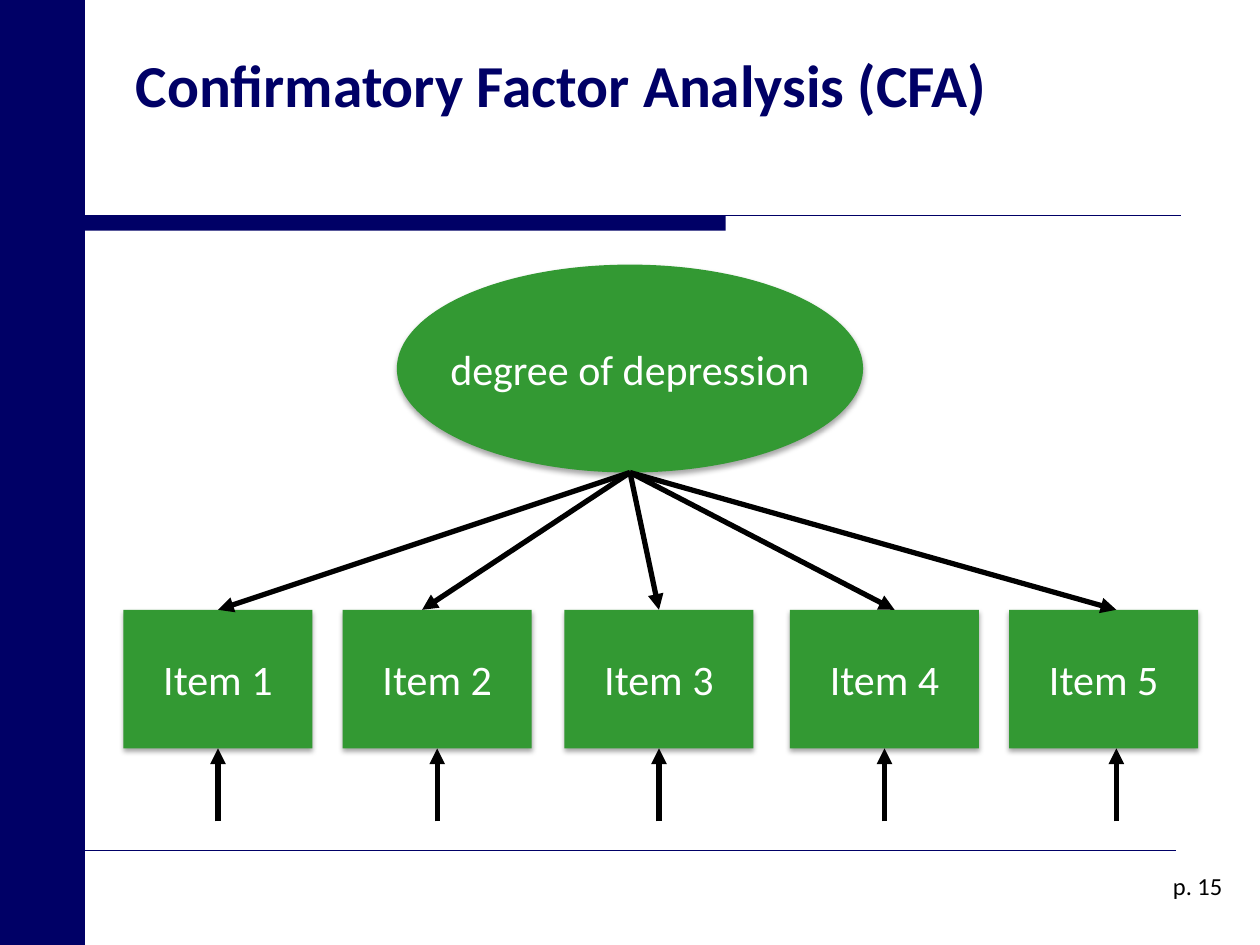
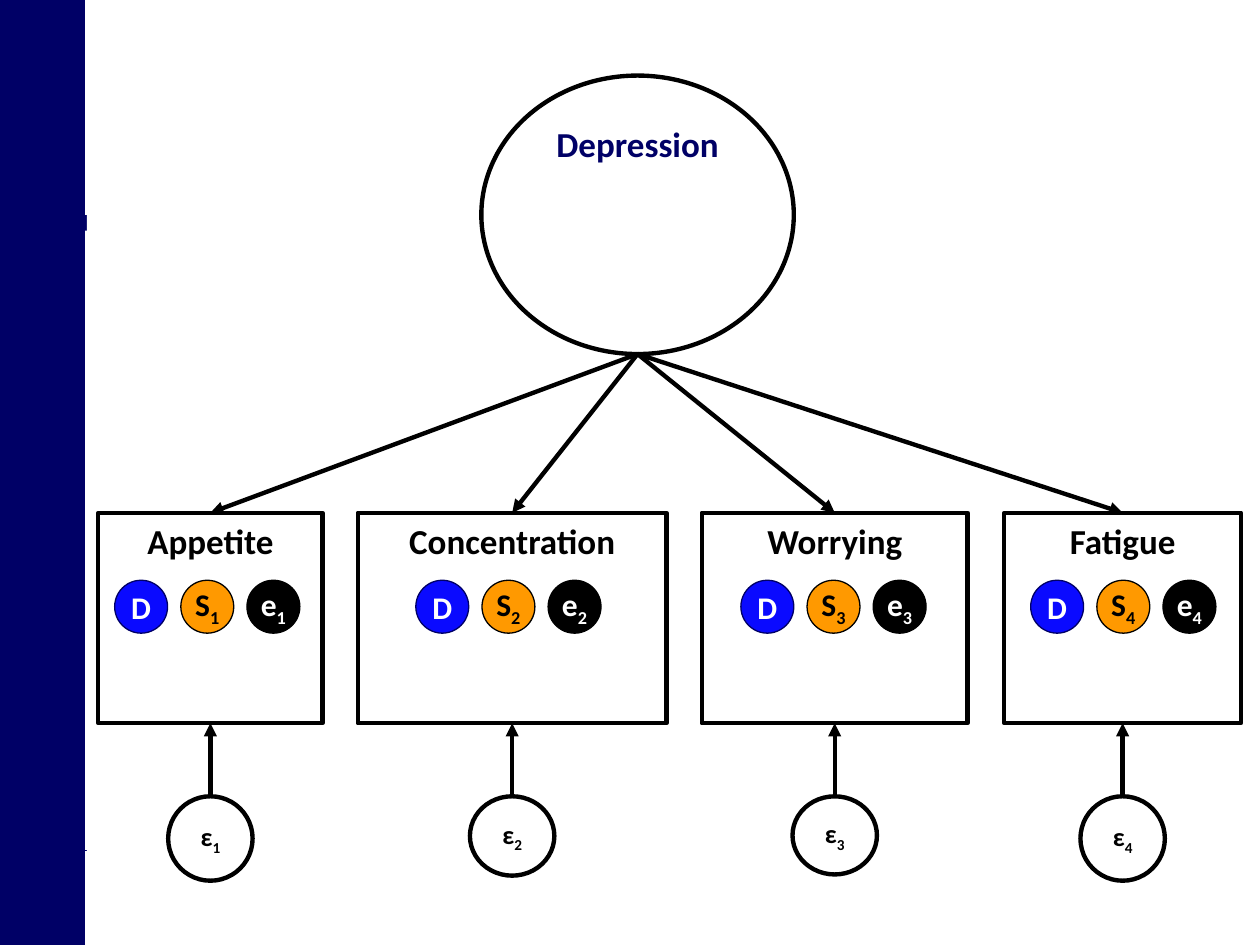
from dataclasses import dataclass
from lxml.etree import SubElement
from pptx import Presentation
from pptx.dml.color import RGBColor
from pptx.enum.shapes import MSO_CONNECTOR, MSO_SHAPE
from pptx.enum.text import MSO_ANCHOR, PP_ALIGN
from pptx.oxml.ns import qn
from pptx.util import Inches, Pt


@dataclass(frozen=True)
class Theme:
    font: str = "Calibri"
    navy: str = "000066"
    green: str = "339933"
    blue: str = "0A0AFF"
    orange: str = "FF9900"
    black: str = "000000"
    white: str = "FFFFFF"
    title_size: int = 34
    factor_size: int = 24
    symptom_size: int = 20
    source_size: int = 18
    error_size: int = 15
    page_size: int = 14
    thick: float = 3
    outline: float = 2.5
    thin: float = 0.75
    hairline: float = 0.25


@dataclass(frozen=True)
class Box:
    left: float
    top: float
    width: float
    height: float

    def inside(self, column, row, width, height):
        return Box(self.left + column, self.top + row, width, height)

    @property
    def center(self):
        return self.left + self.width / 2

    @property
    def bottom(self):
        return self.top + self.height

    def lengths(self):
        return [cells(n) for n in (self.left, self.top, self.width, self.height)]


THEME = Theme()
COLUMNS, ROWS = 100, 75
SLIDE_WIDTH, SLIDE_HEIGHT = Inches(10), Inches(7.5)
PAGE = Box(0, 0, COLUMNS, ROWS)
TOP, BOTTOM = 0, 2


def cells(count):
    return round(SLIDE_WIDTH * count / COLUMNS)


def rgb(color):
    return RGBColor.from_string(color)


def add_outline(line, color, width):
    line.color.rgb = rgb(color)
    line.width = Pt(width)


def add_panel(slide, box, kind=MSO_SHAPE.RECTANGLE, fill=None, line=None, width=THEME.outline):
    panel = slide.shapes.add_shape(kind, *box.lengths())
    panel.shadow.inherit = False
    if fill:
        panel.fill.solid()
        panel.fill.fore_color.rgb = rgb(fill)
    else:
        panel.fill.background()
    if line:
        add_outline(panel.line, line, width)
    else:
        panel.line.fill.background()
    return panel


def add_soft_shadow(panel):
    effects = panel._element.spPr.find(qn("a:effectLst"))
    shadow = SubElement(effects, qn("a:outerShdw"), blurRad=str(Pt(3.1)),
                        dist=str(Pt(1.8)), dir="5400000", rotWithShape="0")
    color = SubElement(shadow, qn("a:srgbClr"), val=THEME.black)
    SubElement(color, qn("a:alpha"), val="35000")


def write(panel, words, size, color, subscript="", bold=False, align=PP_ALIGN.CENTER,
          anchor=MSO_ANCHOR.MIDDLE, side=1, wrap=False):
    frame = panel.text_frame
    frame.word_wrap = wrap
    frame.vertical_anchor = anchor
    frame.margin_left = frame.margin_right = cells(side)
    frame.margin_top = frame.margin_bottom = cells(0.5)
    paragraph = frame.paragraphs[0]
    paragraph.text = words
    paragraph.alignment = align
    if subscript:
        lowered = paragraph.add_run()
        lowered.text = subscript
        lowered.font._element.set("baseline", "-25000")
    for run in paragraph.runs:
        run.font.name = THEME.font
        run.font.size = Pt(size)
        run.font.bold = bold
        run.font.color.rgb = rgb(color)


def add_line(slide, start, end, color, width):
    line = slide.shapes.add_connector(
        MSO_CONNECTOR.STRAIGHT, *[cells(n) for n in (*start, *end)])
    add_outline(line.line, color, width)
    SubElement(line._element.spPr, qn("a:effectLst"))
    return line


def add_arrow(slide, start, end, width):
    arrow = add_line(slide, start, end, THEME.black, width)
    SubElement(arrow._element.spPr.get_or_add_ln(), qn("a:tailEnd"), type="triangle")
    return arrow


def draw_frame(slide, box):
    band = box.inside(6.7, 17.1, 50.9, 1.2)
    add_panel(slide, band, fill=THEME.navy)
    add_line(slide, (band.left, band.top), (93.7, band.top), THEME.navy, THEME.thin)
    add_line(slide, (band.left, 67.5), (93.3, 67.5), THEME.navy, THEME.hairline)
    add_panel(slide, box.inside(0, 0, 6.7, box.height), fill=THEME.navy,
              line=THEME.navy, width=1)


def draw_text(slide, box, words, size, color, **style):
    label = slide.shapes.add_textbox(*box.lengths())
    write(label, words, size, color, wrap=True, **style)


def draw_green(slide, box, kind, words):
    panel = add_panel(slide, box, kind, THEME.green)
    add_soft_shadow(panel)
    write(panel, words, THEME.factor_size, THEME.white)
    return panel


def draw_item(slide, box, words, factor_foot, loading_shift, error_shift):
    item = draw_green(slide, box, MSO_SHAPE.RECTANGLE, words)
    loading = add_arrow(slide, factor_foot, (box.center + loading_shift, box.top), THEME.thick)
    if not loading_shift:
        loading.end_connect(item, TOP)
    error_x = box.center + error_shift
    error = add_arrow(slide, (error_x, box.bottom + 5.8), (error_x, box.bottom), THEME.thick)
    if not error_shift:
        error.end_connect(item, BOTTOM)


def draw_cfa(slide, box):
    draw_text(slide, box.inside(9.8, 3.3, 76.9, 13.3), "Confirmatory Factor Analysis (CFA)",
              THEME.title_size, THEME.navy, bold=True, align=PP_ALIGN.LEFT,
              anchor=MSO_ANCHOR.TOP)
    draw_text(slide, box.inside(77.2, 67.4, 20.8, 5.8), "p. 15", THEME.page_size,
              THEME.black, align=PP_ALIGN.RIGHT)
    factor = box.inside(31.5, 21, 37, 16.5)
    depression = draw_green(slide, factor, MSO_SHAPE.OVAL, "degree of depression")
    depression.text_frame.paragraphs[0].space_before = Pt(4.8)
    items = [(9.8, 0, 0), (27.2, -1.2, 0), (44.8, 0, 0), (62.7, 0.8, 0), (80.1, 1, 1)]
    for number, (left, loading_shift, error_shift) in enumerate(items, 1):
        draw_item(slide, box.inside(left, 48.4, 15, 11), f"Item {number}",
                  (factor.center, factor.bottom), loading_shift, error_shift)


def draw_sources(slide, box, number):
    sources = [
        ("D", "", THEME.blue, THEME.navy, THEME.white),
        ("S", number, THEME.orange, THEME.black, THEME.black),
        ("e", number, THEME.black, THEME.black, THEME.white),
    ]
    for place, (letter, subscript, fill, line, color) in enumerate(sources):
        source = add_panel(slide, box.inside(5.25 * place, 0, 4.2, 4.2), MSO_SHAPE.OVAL,
                           fill, line, THEME.thin)
        write(source, letter, THEME.source_size, color, subscript, bold=True)


def draw_symptom(slide, box, name, number, factor_foot, sources_left, error_height):
    symptom = add_panel(slide, box, line=THEME.black)
    write(symptom, name, THEME.symptom_size, THEME.black, bold=True,
          anchor=MSO_ANCHOR.TOP, side=1.1, wrap=True)
    error_box = Box(box.center - 3.35, box.bottom + 5.8, 6.7, error_height)
    error = add_panel(slide, error_box, MSO_SHAPE.OVAL, line=THEME.black)
    write(error, "ε", THEME.error_size, THEME.black, number, bold=True, side=0)
    rise = add_arrow(slide, (error_box.center, error_box.top),
                     (box.center, box.bottom), THEME.outline)
    rise.begin_connect(error, TOP)
    rise.end_connect(symptom, BOTTOM)
    loading = add_arrow(slide, factor_foot, (box.center, box.top), THEME.outline)
    loading.end_connect(symptom, TOP)
    draw_sources(slide, box.inside(sources_left, 5.35, 14.7, 4.2), number)


def draw_symptom_model(slide, box):
    for cover_top in (58.8, 11.5):
        add_panel(slide, box.inside(6.9, cover_top, 88.7, 13.4), fill=THEME.white)
    factor = box.inside(38.2, 6, 24.8, 22.1)
    depression = add_panel(slide, factor, MSO_SHAPE.OVAL, line=THEME.black)
    write(depression, "Depression", THEME.symptom_size, THEME.navy, bold=True,
          anchor=MSO_ANCHOR.TOP, side=0)
    symptoms = [
        ("Appetite", 7.8, 17.8, 1.3, 6.7),
        ("Concentration", 28.4, 24.5, 4.6, 6.3),
        ("Worrying", 55.7, 21.1, 3.1, 6.2),
        ("Fatigue", 79.7, 18.8, 2.1, 6.7),
    ]
    for number, (name, left, width, sources_left, error_height) in enumerate(symptoms, 1):
        draw_symptom(slide, box.inside(left, 40.7, width, 16.7), name, str(number),
                     (factor.center, factor.bottom), sources_left, error_height)


def main():
    deck = Presentation()
    deck.slide_width, deck.slide_height = SLIDE_WIDTH, SLIDE_HEIGHT
    for draw_content in (draw_cfa, draw_symptom_model):
        slide = deck.slides.add_slide(deck.slide_layouts[6])
        draw_frame(slide, PAGE)
        draw_content(slide, PAGE)
    deck.save("out.pptx")


if __name__ == "__main__":
    main()
